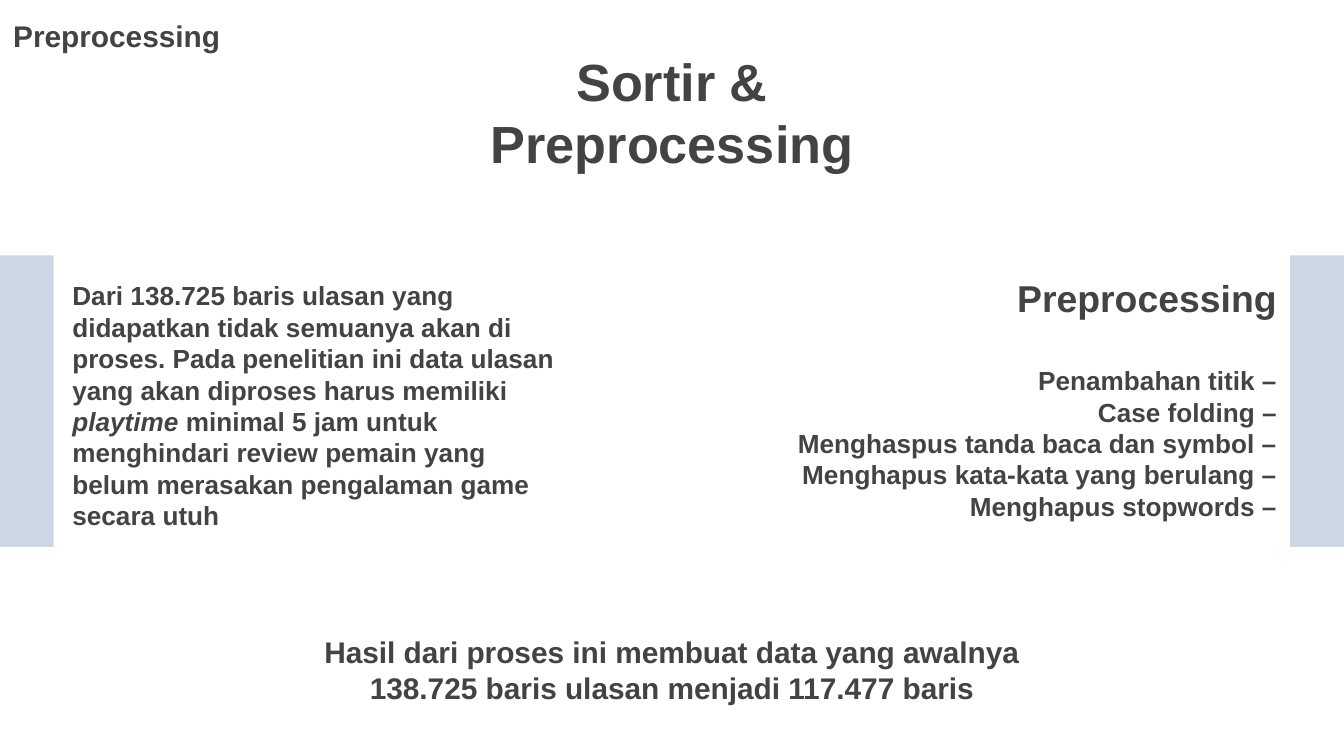
from pptx import Presentation
from pptx.dml.color import RGBColor
from pptx.enum.shapes import MSO_SHAPE
from pptx.enum.text import MSO_ANCHOR, PP_ALIGN
from pptx.oxml.ns import qn
from pptx.util import Inches, Pt
from lxml.etree import SubElement

COLORS = {"text": "434343", "band": "A9B9D3"}
FONT = "Arial"
BAND_WIDTH = 0.4
BAND_OPACITY = 58


def add_text(slide, box, paragraphs, size, alignment=PP_ALIGN.LEFT, anchor=MSO_ANCHOR.MIDDLE):
    shape = slide.shapes.add_textbox(*map(Inches, box))
    text_frame = shape.text_frame
    text_frame.word_wrap = True
    text_frame.vertical_anchor = anchor
    text_frame.margin_left = text_frame.margin_right = Inches(0.1)
    text_frame.margin_top = text_frame.margin_bottom = Inches(0.1)
    text_frame.text = "\n".join(paragraphs)
    for paragraph in text_frame.paragraphs:
        paragraph.alignment = alignment
        for run in paragraph.runs:
            format_run(run, size)
    return text_frame


def format_run(run, size, italic=False):
    run.font.name = FONT
    run.font.size = Pt(size)
    run.font.bold = True
    run.font.italic = italic
    run.font.color.rgb = RGBColor.from_string(COLORS["text"])


def add_band(slide, box):
    shape = slide.shapes.add_shape(MSO_SHAPE.RECTANGLE, *map(Inches, box))
    shape.shadow.inherit = False
    shape.line.fill.background()
    shape.fill.solid()
    shape.fill.fore_color.rgb = RGBColor.from_string(COLORS["band"])
    color = shape.fill._xPr.find(qn("a:solidFill"))[0]
    SubElement(color, qn("a:alpha"), val=str(BAND_OPACITY * 1000))


def add_header(slide, box):
    left, top, width, height = box
    title_width = 3.83
    title_left = left + (width - title_width) / 2
    add_text(slide, (left, top, 1.88, 0.45), ["Preprocessing"], 16)
    add_text(slide, (title_left, top + 0.3, title_width, 0.98),
             ["Sortir & Preprocessing"], 28, PP_ALIGN.CENTER)


def add_sorting(slide, box):
    left, top, width, height = box
    add_band(slide, (left, top, BAND_WIDTH, height))
    text_frame = add_text(
        slide, (left + 0.44, top + 0.07, 3.9, 2.08),
        ["Dari 138.725 baris ulasan yang didapatkan tidak semuanya akan di proses. "
         "Pada penelitian ini data ulasan yang akan diproses harus memiliki "],
        14, anchor=MSO_ANCHOR.BOTTOM)
    paragraph = text_frame.paragraphs[0]
    endings = [
        ("playtime ", True),
        ("minimal 5 jam untuk menghindari review pemain yang "
         "belum merasakan pengalaman game secara utuh", False),
    ]
    for text, italic in endings:
        run = paragraph.add_run()
        run.text = text
        format_run(run, 14, italic)


def add_preprocessing(slide, box):
    left, top, width, height = box
    band_left = left + width - BAND_WIDTH
    add_band(slide, (band_left, top, BAND_WIDTH, height))
    steps = [
        "Penambahan titik –",
        "Case folding –",
        "Menghaspus tanda baca dan symbol –",
        "Menghapus kata-kata yang berulang –",
        "Menghapus stopwords –",
    ]
    text_frame = add_text(
        slide, (band_left - 3.94, top + 0.07, 3.94, 2.01),
        ["Preprocessing", *steps], 14, PP_ALIGN.RIGHT, MSO_ANCHOR.BOTTOM)
    heading, first_step = text_frame.paragraphs[:2]
    format_run(heading.runs[0], 20)
    first_step.space_before = Pt(24)


def add_result(slide, box):
    add_text(
        slide, box,
        ["Hasil dari proses ini membuat data yang awalnya "
         "138.725 baris ulasan menjadi 117.477 baris"],
        16, PP_ALIGN.CENTER, MSO_ANCHOR.BOTTOM)


def main():
    presentation = Presentation()
    presentation.slide_width = Inches(10)
    presentation.slide_height = Inches(10 * 9 / 16)
    slide = presentation.slides.add_slide(presentation.slide_layouts[6])
    add_header(slide, (0, 0.04, 10, 1.28))
    add_sorting(slide, (0, 1.9, 5, 2.17))
    add_preprocessing(slide, (5, 1.9, 5, 2.17))
    add_result(slide, (2.04, 4.59, 5.92, 0.76))
    presentation.save("out.pptx")


if __name__ == "__main__":
    main()
